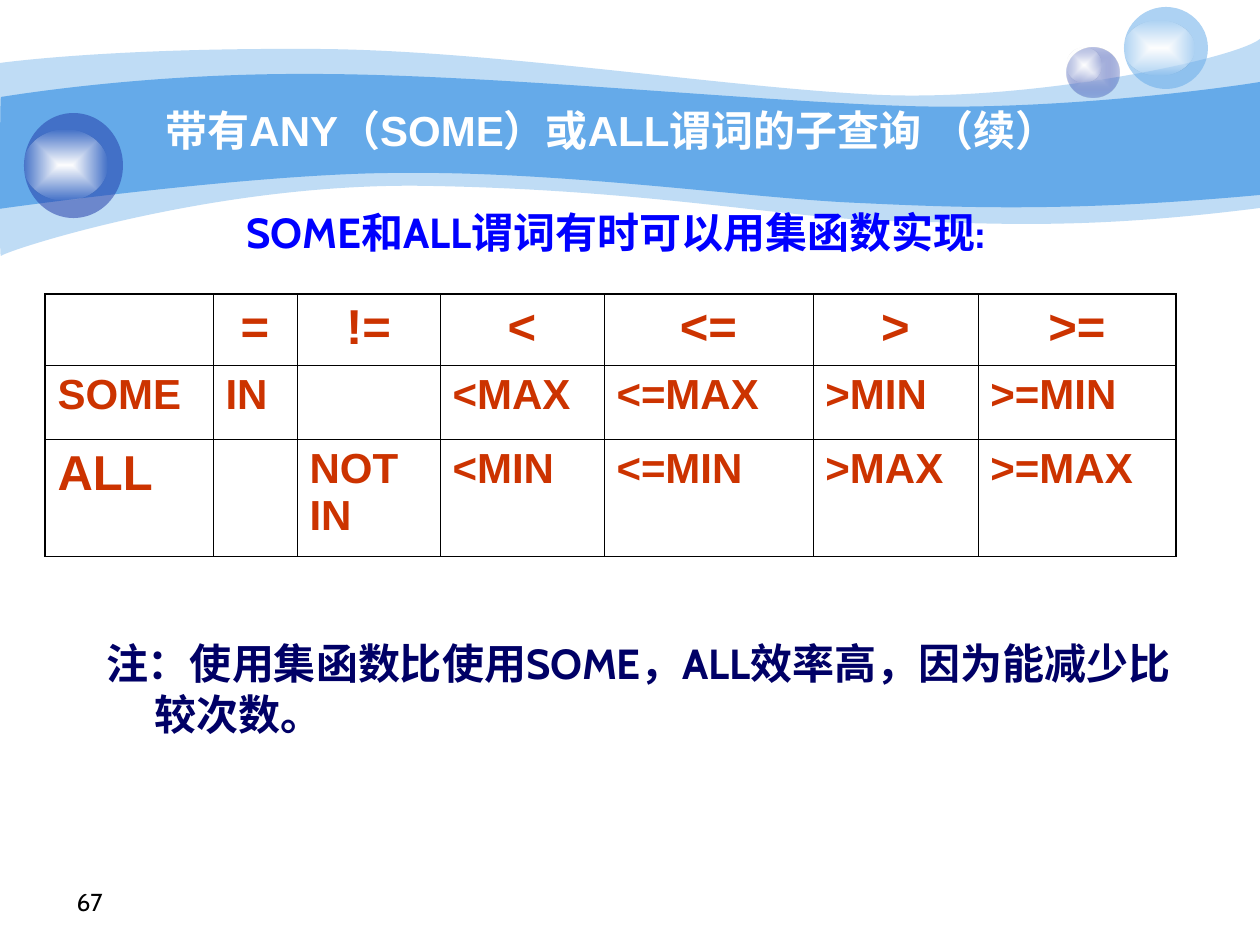
from lxml import etree
from pptx import Presentation
from pptx.dml.color import RGBColor
from pptx.enum.shapes import MSO_SHAPE
from pptx.enum.text import MSO_ANCHOR, PP_ALIGN
from pptx.oxml import parse_xml
from pptx.oxml.ns import nsdecls, qn
from pptx.util import Pt

LEFT, CENTER, RIGHT = PP_ALIGN.LEFT, PP_ALIGN.CENTER, PP_ALIGN.RIGHT
TOP, BOTTOM = MSO_ANCHOR.TOP, MSO_ANCHOR.BOTTOM
OVAL = MSO_SHAPE.OVAL
SCALE = 914400 / 126
LINE_PITCH = 29
CJK_FONT = "Noto Sans CJK SC"
RED, BLACK, SKY, NAVY, WHITE = "CC3300", "000000", "65AAE9", "233DA9", "FFFFFF"

# Each band: upper edge, lower edge (chained cubic Bézier points), opacity
BANDS = [
    ([(0, 63), (30, 59), (135, 48), (311, 49), (486, 49), (725, 88),
      (881, 95), (1036, 101), (1235, 59), (1260, 39)],
     [(1260, 208), (1079, 231), (992, 223), (888, 221), (784, 218), (649, 190),
      (432, 186), (217, 181), (5, 251), (1, 256), (-1, 262), (0, 95), (0, 63)], 41),
    ([(1, 97), (3, 97), (139, 73), (312, 74), (486, 74), (750, 101),
      (905, 106), (1060, 111), (1230, 87), (1260, 82)],
     [(1260, 195), (1074, 212), (964, 208), (859, 203), (755, 199), (563, 171),
      (399, 173), (256, 173), (-3, 209), (-1, 209), (0, 209), (0, 97), (1, 97)], 100),
]
# Box, then (colour, opacity) of the centre and of the rim
ORBS = [
    ((1067, 48, 53, 50), ("C7CEE9", 100), (NAVY, 31)),
    ((1067, 48, 35, 34), (WHITE, 100), (WHITE, 0)),
    ((1124, 7, 84, 82), (SKY, 53), None),
    ((1124, 21, 70, 54), (WHITE, 100), (WHITE, 0)),
    ((24, 113, 99, 105), (NAVY, 53), None),
    ((24, 130, 83, 70), (WHITE, 100), (WHITE, 0)),
]
TITLE = "带有ANY（SOME）或ALL谓词的子查询 （续）"
SUBTITLE = "SOME和ALL谓词有时可以用集函数实现:"
NOTE = "注：使用集函数比使用SOME，ALL效率高，因为能减少比较次数。"
ROWS = [
    ["", "=", "!=", "<", "<=", ">", ">="],
    ["SOME", "IN", "", "<MAX", "<=MAX", ">MIN", ">=MIN"],
    ["ALL", "", "NOT IN", "<MIN", "<=MIN", ">MAX", ">=MAX"],
]
COL_WIDTHS = [168, 84, 143, 164, 209, 165, 198]
ROW_HEIGHTS = [71, 74, 117]


def px(n):
    return round(n * SCALE)


def rgb(value):
    return RGBColor.from_string(value)


def paint(sp, color, opacity):
    sp.shadow.inherit = False
    sp.line.fill.background()
    sp.fill.solid()
    sp.fill.fore_color.rgb = rgb(color)
    if opacity < 100:
        clr = sp.element.spPr.find(qn("a:solidFill"))[0]
        etree.SubElement(clr, qn("a:alpha")).set("val", str(opacity * 1000))


def paint_gradient(sp, *stops):
    paint(sp, stops[0][0], 100)
    gs = "".join(
        f'<a:gs pos="{i * 100000}"><a:srgbClr val="{color}">'
        f'<a:alpha val="{opacity * 1000}"/></a:srgbClr></a:gs>'
        for i, (color, opacity) in enumerate(stops))
    spPr = sp.element.spPr
    spPr.replace(spPr.find(qn("a:solidFill")), parse_xml(
        f'<a:gradFill {nsdecls("a")} rotWithShape="1"><a:gsLst>{gs}</a:gsLst>'
        '<a:path path="rect"><a:fillToRect l="50000" t="50000" r="50000" b="50000"/>'
        '</a:path></a:gradFill>'))


def add_band(s, upper, lower, opacity):
    points = [(px(x), px(y)) for x, y in upper + lower]
    builder = s.shapes.build_freeform(*points[0])
    builder.add_line_segments(points[1:], close=False)
    sp = builder.convert_to_shape()
    outline = next(sp.element.iter(qn("a:path")))
    lines = outline.findall(qn("a:lnTo"))
    side = len(upper) - 1
    for edge in (lines[:side], lines[side + 1:]):
        for i in range(0, len(edge), 3):
            bezier = etree.Element(qn("a:cubicBezTo"))
            edge[i].addprevious(bezier)
            for line in edge[i:i + 3]:
                bezier.append(line[0])
                outline.remove(line)
    etree.SubElement(outline, qn("a:close"))
    paint(sp, SKY, opacity)


def style(p, size, font, color, bold=True, align=LEFT):
    p.alignment = align
    for r in p.runs:
        r.font.size, r.font.bold, r.font.name = Pt(size), bold, font
        r.font.color.rgb = rgb(color)
        etree.SubElement(r.font._element, qn("a:ea")).set("typeface", CJK_FONT)


def add_text(s, box, text, size, font, color, bold=True, align=LEFT, anchor=TOP, left=12):
    tf = s.shapes.add_textbox(*map(px, box)).text_frame
    tf.word_wrap, tf.vertical_anchor = True, anchor
    tf.margin_left = px(left)
    p = tf.paragraphs[0]
    p.text = text
    style(p, size, font, color, bold, align)
    return p


def set_borders(cell, edges):
    tcPr = cell._tc.get_or_add_tcPr()
    for i, (side, outer) in enumerate(edges):
        tcPr.insert(i, parse_xml(
            f'<a:ln{side} {nsdecls("a")} w="{Pt(1.08 if outer else 0.45)}">'
            f'<a:solidFill><a:srgbClr val="{BLACK}"/></a:solidFill></a:ln{side}>'))


def add_grid(s, left, top):
    n_rows, n_cols = len(ROWS), len(COL_WIDTHS)
    table = s.shapes.add_table(n_rows, n_cols, px(left), px(top),
                               px(sum(COL_WIDTHS)), px(sum(ROW_HEIGHTS))).table
    table.first_row = table.horz_banding = False
    for col, width in zip(table.columns, COL_WIDTHS):
        col.width = px(width)
    for i, (row, height) in enumerate(zip(ROWS, ROW_HEIGHTS)):
        table.rows[i].height = px(height)
        for j, text in enumerate(row):
            cell = table.cell(i, j)
            cell.fill.background()
            set_borders(cell, [("L", j == 0), ("R", j == n_cols - 1),
                               ("T", i == 0), ("B", i == n_rows - 1)])
            if not text:
                continue
            large = i == 0 or text == "ALL"
            p = cell.text_frame.paragraphs[0]
            p.text = text
            p.space_before = Pt(7 if large else 6)
            style(p, 28 if large else 24, "Arial", RED, align=LEFT if i else CENTER)


def main():
    """Build the slide on ANY/SOME and ALL predicates and save it."""
    prs = Presentation()
    prs.slide_width, prs.slide_height = px(1260), px(945)
    s = prs.slides.add_slide(prs.slide_layouts[6])

    for upper, lower, opacity in BANDS:
        add_band(s, upper, lower, opacity)

    for box, center, rim in ORBS:
        sp = s.shapes.add_shape(OVAL, *map(px, box))
        if rim:
            paint_gradient(sp, center, rim)
        else:
            paint(sp, *center)

    title = add_text(s, (76, 98, 1071, 84), TITLE, 24, "Arial", WHITE, align=CENTER)
    note = add_text(s, (94, 631, 1100, 168), NOTE, 24, "Cabin", "000066")
    note_pPr = note._p.get_or_add_pPr()
    note_pPr.set("marL", str(px(48)))
    note_pPr.set("indent", str(px(-48)))
    add_grid(s, 45, 294)
    subtitle = add_text(s, (44, 200, 1124, 63), SUBTITLE, 24, "Cabin", "0000FF",
                        align=CENTER, left=32)
    for p in (title, note, subtitle):
        p.line_spacing = Pt(LINE_PITCH)
    add_text(s, (34, 860, 81, 63), "67", 14, "Cabin", BLACK, False, RIGHT, BOTTOM)

    prs.save("out.pptx")


if __name__ == "__main__":
    main()
